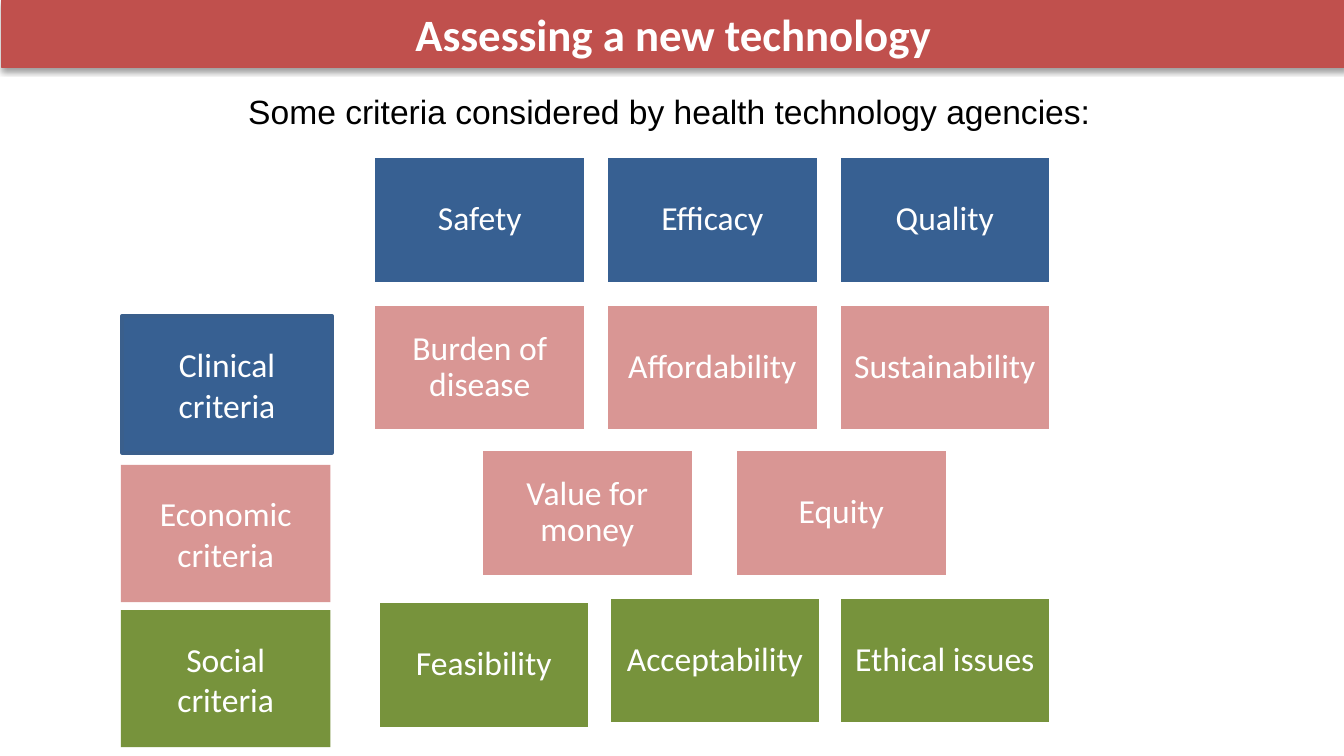
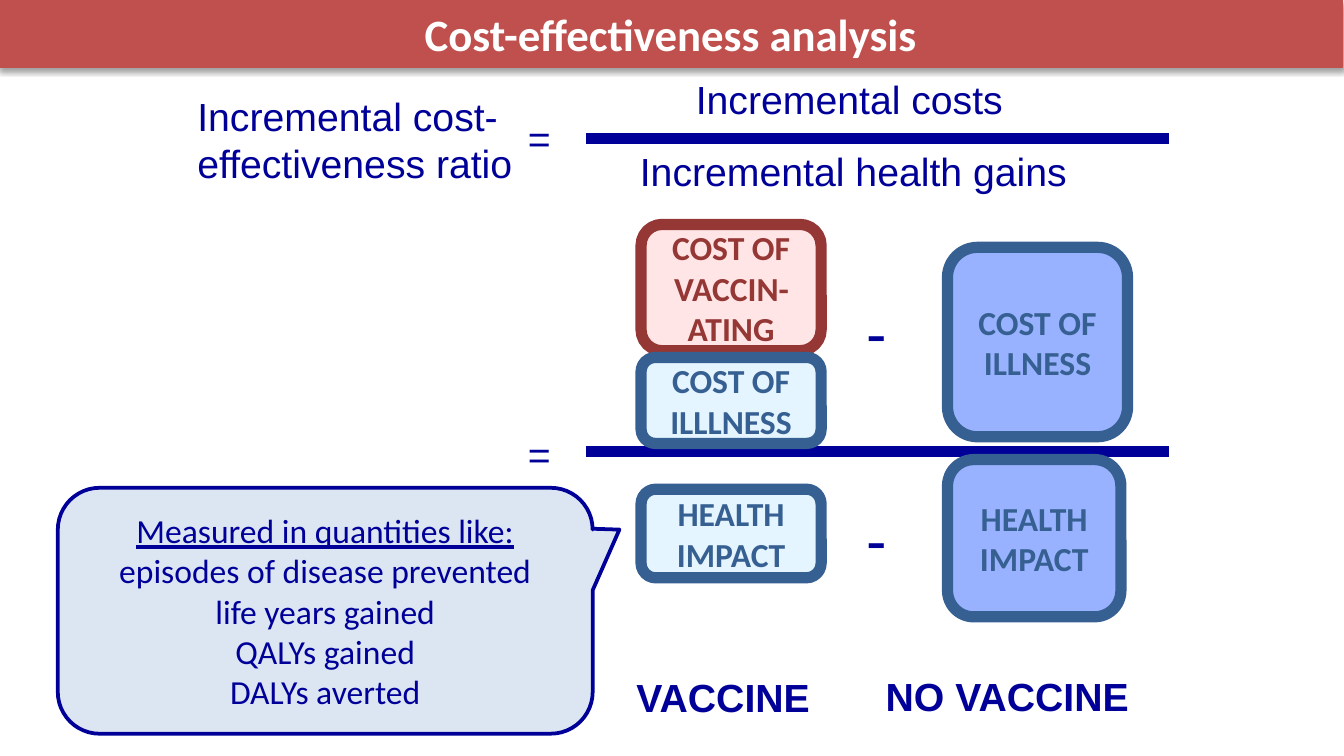
from lxml.etree import SubElement
from pptx import Presentation
from pptx.dml.color import RGBColor
from pptx.enum.shapes import MSO_CONNECTOR, MSO_SHAPE
from pptx.enum.text import MSO_ANCHOR, MSO_AUTO_SIZE, PP_ALIGN
from pptx.oxml.ns import qn
from pptx.util import Inches, Pt

RED, BLUE, PINK, GREEN = "C0504D", "376092", "D99694", "77933C"
WHITE, BLACK, NAVY, DARK_RED = "FFFFFF", "000000", "000099", "953735"
LIGHT_RED, LIGHT_BLUE, BRIGHT_BLUE, PALE_BLUE = "FFCCCC", "CCECFF", "3366FF", "DCE6F2"
HEADING_FONT, LABEL_FONT = "Calibri", "Arial"
TITLE_ONLY = 5
TILE_WIDTH, TILE_HEIGHT, TILE_STEP = 1.58, 0.95, 1.73


def color(value):
    """Turn a hex string into a colour."""
    return RGBColor.from_string(value)


def place(shape, left, top, width, height):
    """Move and size a shape in inches."""
    shape.left, shape.top = Inches(left), Inches(top)
    shape.width, shape.height = Inches(width), Inches(height)


def paint(shape, fill, line=None, line_width=1, opacity=None):
    """Set the fill, its opacity and the outline of a shape."""
    shape.fill.solid()
    shape.fill.fore_color.rgb = color(fill)
    if opacity is not None:
        fill_color = shape.element.spPr.find(qn("a:solidFill")).find(qn("a:srgbClr"))
        SubElement(fill_color, qn("a:alpha"), val=str(opacity * 1000))
    if line is None:
        shape.line.fill.background()
    else:
        shape.line.color.rgb = color(line)
        shape.line.width = Pt(line_width)


def write(shape, lines, size, ink, font=HEADING_FONT, bold=False,
          align=PP_ALIGN.CENTER, anchor=MSO_ANCHOR.MIDDLE, spacing=None):
    """Write one paragraph per line and return the text frame."""
    frame = shape.text_frame
    frame.word_wrap = True
    frame.vertical_anchor = anchor
    for index, line in enumerate(lines):
        para = frame.add_paragraph() if index else frame.paragraphs[0]
        para.alignment = align
        para.line_spacing = spacing
        span = para.add_run()
        span.text = line
        span.font.name = font
        span.font.size = Pt(size)
        span.font.bold = bold
        span.font.color.rgb = color(ink)
    return frame


def add_page(deck, title, left):
    """Add a page with the shadowed title band."""
    page = deck.slides.add_slide(deck.slide_layouts[TITLE_ONLY])
    band = page.shapes.title
    place(band, left, 0, 10, 0.5)
    paint(band, RED, RED, 0.75)
    effects = SubElement(band.element.spPr, qn("a:effectLst"))
    shadow = SubElement(effects, qn("a:outerShdw"), blurRad=str(Pt(3.1)),
                        dist=str(Pt(1.6)), dir="5400000", rotWithShape="0")
    shade = SubElement(shadow, qn("a:srgbClr"), val=BLACK)
    SubElement(shade, qn("a:alpha"), val="38000")
    frame = write(band, [title], 24, WHITE, bold=True, anchor=MSO_ANCHOR.TOP)
    frame.auto_size = MSO_AUTO_SIZE.NONE
    return page


def add_box(page, kind, bounds, fill, line=None, line_width=2, opacity=None):
    """Add a flat preset shape."""
    box = page.shapes.add_shape(kind, *map(Inches, bounds))
    box.shadow.inherit = False
    paint(box, fill, line, line_width, opacity)
    return box


def add_tile(page, text, left, top, fill):
    """Add one criterion tile."""
    tile = add_box(page, MSO_SHAPE.RECTANGLE, (left, top, TILE_WIDTH, TILE_HEIGHT), fill, WHITE)
    frame = write(tile, [text], 18, WHITE, spacing=0.9)
    frame.margin_left = frame.margin_right = Inches(0.07)
    frame.margin_top = frame.margin_bottom = Inches(0.07)


def add_label(page, text, bounds, size=21, ink=NAVY, bold=False, align=PP_ALIGN.CENTER):
    """Add a plain text label."""
    label = page.shapes.add_textbox(*map(Inches, bounds))
    write(label, [text], size, ink, LABEL_FONT, bold, align, MSO_ANCHOR.TOP)


def add_fraction_bar(page, top):
    """Add the thick line of a fraction."""
    bar = page.shapes.add_connector(MSO_CONNECTOR.STRAIGHT, Inches(4.36), Inches(top),
                                    Inches(8.7), Inches(top))
    bar.line.color.rgb = color(NAVY)
    bar.line.width = Pt(6)
    SubElement(bar.element.spPr, qn("a:effectLst"))


def add_term(page, text, bounds, fill, ink=BLUE):
    """Add a rounded term of the ratio."""
    term = add_box(page, MSO_SHAPE.ROUNDED_RECTANGLE, bounds, fill, ink, 6, 50)
    write(term, [text], 18, ink, bold=True)


def add_callout(page):
    """Add the callout that lists the health measures."""
    callout = add_box(page, MSO_SHAPE.ROUNDED_RECTANGULAR_CALLOUT,
                      (0.43, 3.63, 3.98, 1.83), PALE_BLUE, NAVY)
    for index, value in enumerate((0.55, -0.33, 0.17)):
        callout.adjustments[index] = value
    lines = ["Measured in quantities like:", "episodes of disease prevented",
             "life years gained", "QALYs gained", "DALYs averted"]
    frame = write(callout, lines, 18, NAVY)
    frame.paragraphs[0].runs[0].font.underline = True


def build_criteria(deck):
    """Build the page of assessment criteria."""
    page = add_page(deck, "Assessing a new technology", 0.01)
    rows = [
        (2.78, 1.16, TILE_STEP, BLUE, ["Safety", "Efficacy", "Quality"]),
        (2.78, 2.26, TILE_STEP, PINK, ["Burden of disease", "Affordability", "Sustainability"]),
        (3.58, 3.34, 1.89, PINK, ["Value for money", "Equity"]),
        (2.81, 4.47, TILE_STEP, GREEN, ["Feasibility"]),
        (4.53, 4.44, 1.71, GREEN, ["Acceptability", "Ethical issues"]),
    ]
    for left, top, step, fill, names in rows:
        for column, name in enumerate(names):
            add_tile(page, name, left + column * step, top, fill)
    add_label(page, "Some criteria considered by health technology agencies: ",
              (1.37, 0.63, 7.29, 0.4), 18, BLACK)
    groups = [("Economic criteria", 0.9, 3.46, PINK, None),
              ("Clinical criteria", 0.91, 2.35, BLUE, "3A5F8C"),
              ("Social criteria", 0.9, 4.54, GREEN, None)]
    for name, left, top, fill, line in groups:
        box = add_box(page, MSO_SHAPE.RECTANGLE, (left, top, 1.56, 1.02), fill, line)
        write(box, [name], 18, WHITE)


def build_analysis(deck):
    """Build the page of the cost-effectiveness ratio."""
    page = add_page(deck, "Cost-effectiveness analysis", -0.01)
    for top in (1.03, 3.36):
        add_fraction_bar(page, top)
    add_label(page, "Incremental cost-effectiveness ratio", (1.37, 0.64, 2.64, 0.81),
              align=PP_ALIGN.LEFT)
    add_label(page, "Incremental costs", (5, 0.51, 2.64, 0.45))
    add_label(page, "Incremental health gains", (4.36, 1.05, 3.98, 0.45))
    for top in (0.8, 3.15):
        add_label(page, "=", (3.83, top, 0.35, 0.45), align=PP_ALIGN.LEFT)
    for top in (2.14, 3.68):
        add_label(page, "-", (6.35, top, 0.35, 0.66), 33, align=PP_ALIGN.LEFT)
    add_term(page, "COST OF VACCIN-ATING", (4.77, 1.67, 1.34, 0.94), LIGHT_RED, DARK_RED)
    add_term(page, "COST OF ILLNESS", (7.05, 1.84, 1.34, 1.41), BRIGHT_BLUE)
    add_term(page, "HEALTH IMPACT", (7.05, 3.42, 1.29, 1.17), BRIGHT_BLUE)
    add_term(page, "COST OF ILLLNESS", (4.77, 2.66, 1.34, 0.64), LIGHT_BLUE)
    add_term(page, "HEALTH IMPACT", (4.77, 3.64, 1.34, 0.66), LIGHT_BLUE)
    add_label(page, "VACCINE", (4.47, 4.96, 1.82, 0.45), bold=True)
    add_label(page, "NO VACCINE", (6.41, 4.95, 2.17, 0.45), bold=True)
    add_callout(page)


def main():
    """Build and save the deck."""
    deck = Presentation()
    deck.slide_width = Inches(10)
    deck.slide_height = Inches(10 * 9 / 16)
    build_criteria(deck)
    build_analysis(deck)
    deck.save("out.pptx")


if __name__ == "__main__":
    main()
